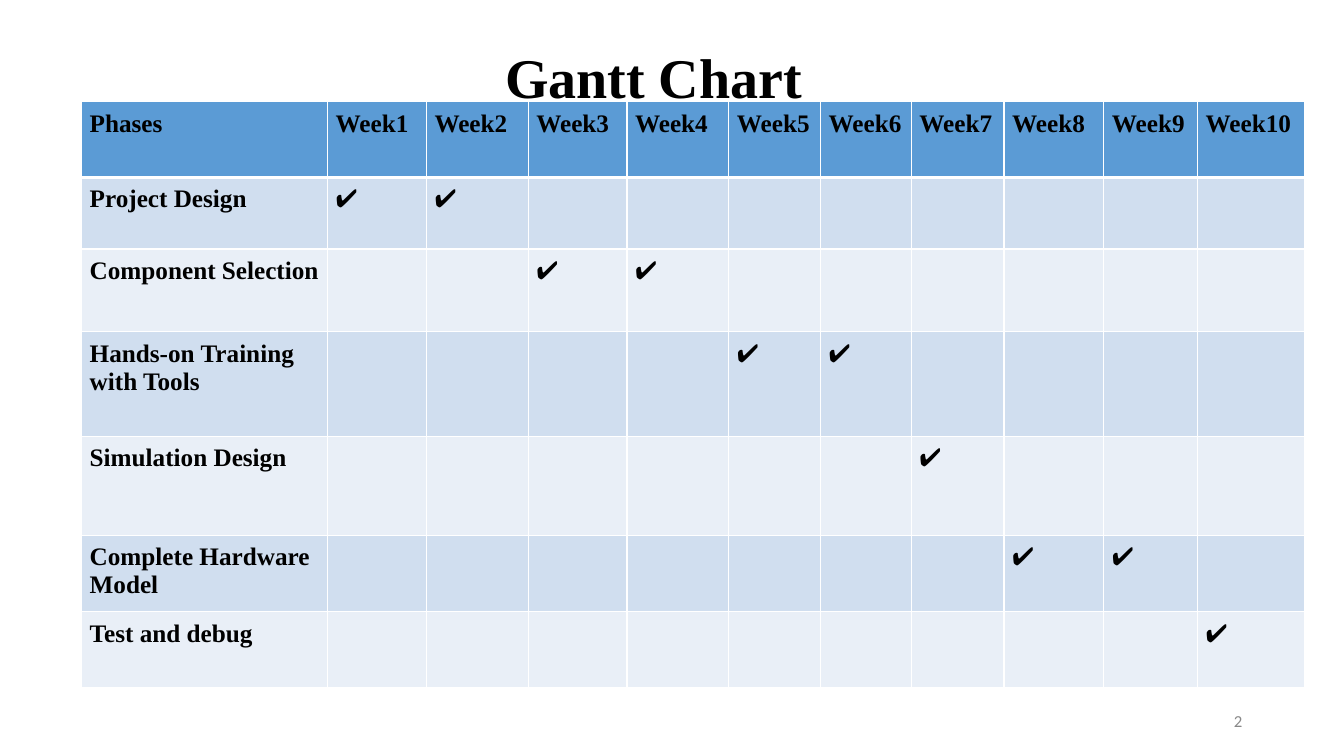
import pptx
import pptx.chart.data
import pptx.dml.color
import pptx.enum.text
import pptx.oxml
import pptx.oxml.ns
import pptx.util
from lxml import etree

Inches = pptx.util.Inches
Pt = pptx.util.Pt

COLOURS = {
    "text": "000000",
    "number": "888888",
    "header": "5B9BD5",
    "odd": "D0DEEF",
    "even": "E9EFF7",
    "border": "FFFFFF",
}
SERIF = "Times New Roman"
COLUMN_WIDTHS = [2.44, 0.98, 1.01, 0.98, 1.01, 0.91, 0.9, 0.92, 0.99, 0.93, 1.06]
ROW_HEIGHTS = [0.75, 0.71, 0.82, 1.04, 0.98, 0.75, 0.75]
PHASES = [
    ("Project Design", {1, 2}),
    ("Component Selection", {3, 4}),
    ("Hands-on Training with Tools", {5, 6}),
    ("Simulation Design", {7}),
    ("Complete Hardware Model", {8, 9}),
    ("Test and debug", {10}),
]


def colour(name):
    return pptx.dml.color.RGBColor.from_string(COLOURS[name])


def set_font(paragraph, name, size, colour_name, bold=False):
    font = paragraph.font
    font.name, font.size, font.bold = name, Pt(size), bold
    font.color.rgb = colour(colour_name)


def add_title(slide, box, indent):
    title = slide.shapes.title
    title.left, title.top, title.width, title.height = map(Inches, box)
    title.text_frame.text = "Gantt Chart"
    title.text_frame.vertical_anchor = pptx.enum.text.MSO_ANCHOR.MIDDLE
    paragraph = title.text_frame.paragraphs[0]
    paragraph.alignment = pptx.enum.text.PP_ALIGN.LEFT
    paragraph.line_spacing = 0.9
    paragraph._p.get_or_add_pPr().set("marL", str(Inches(indent)))
    set_font(paragraph, SERIF, 40, "text", bold=True)


def add_slide_number(slide, box):
    frame = slide.shapes.add_textbox(*map(Inches, box)).text_frame
    frame.word_wrap = True
    frame.vertical_anchor = pptx.enum.text.MSO_ANCHOR.MIDDLE
    paragraph = frame.paragraphs[0]
    paragraph.alignment = pptx.enum.text.PP_ALIGN.RIGHT
    run = paragraph.add_run()
    run.text = "2"
    run.font.name, run.font.size = "Calibri", Pt(12)
    run.font.color.rgb = colour("number")


def set_borders(cell, widths):
    """Draw the left, right, top and bottom borders; widths are in points."""
    properties = cell._tc.get_or_add_tcPr()
    for index, (side, width) in enumerate(zip("LRTB", widths)):
        line = pptx.oxml.parse_xml(
            f'<a:ln{side} {pptx.oxml.ns.nsdecls("a")} w="{Pt(width)}"><a:solidFill>'
            f'<a:srgbClr val="{COLOURS["border"]}"/></a:solidFill></a:ln{side}>'
        )
        properties.insert(index, line)


def add_gantt_table(slide, left, top):
    row_count, column_count = len(ROW_HEIGHTS), len(COLUMN_WIDTHS)
    table = slide.shapes.add_table(
        row_count, column_count, Inches(left), Inches(top),
        Inches(sum(COLUMN_WIDTHS)), Inches(sum(ROW_HEIGHTS)),
    ).table
    for column, width in zip(table.columns, COLUMN_WIDTHS):
        column.width = Inches(width)
    for row, height in zip(table.rows, ROW_HEIGHTS):
        row.height = Inches(height)

    weeks = range(1, column_count)
    content = [["Phases"] + [f"Week{week}" for week in weeks]]
    for phase, active in PHASES:
        content.append([phase] + ["✔" if week in active else "" for week in weeks])

    for row, texts in enumerate(content):
        fill = "header" if row == 0 else ("odd" if row % 2 else "even")
        for column, text in enumerate(texts):
            cell = table.cell(row, column)
            cell.margin_left = cell.margin_right = Inches(0.08)
            cell.margin_top = cell.margin_bottom = Inches(0.08)
            cell.fill.solid()
            cell.fill.fore_color.rgb = colour(fill)
            cell.text = text
            set_font(cell.text_frame.paragraphs[0], SERIF, 18, "text",
                     bold=row == 0 or column == 0)
            set_borders(cell, (1, 1, 3 if row == 1 else 1, 3 if row == 0 else 1))


def main():
    presentation = pptx.Presentation()
    presentation.slide_width = Inches(13.33)
    presentation.slide_height = Inches(7.5)
    slide = presentation.slides.add_slide(presentation.slide_layouts[5])
    add_title(slide, (1.31, 0.29, 11.5, 1.01), indent=3.6)
    add_slide_number(slide, (9.42, 6.95, 3, 0.4))
    add_gantt_table(slide, 0.81, 1.01)
    presentation.save("out.pptx")


if __name__ == "__main__":
    main()
